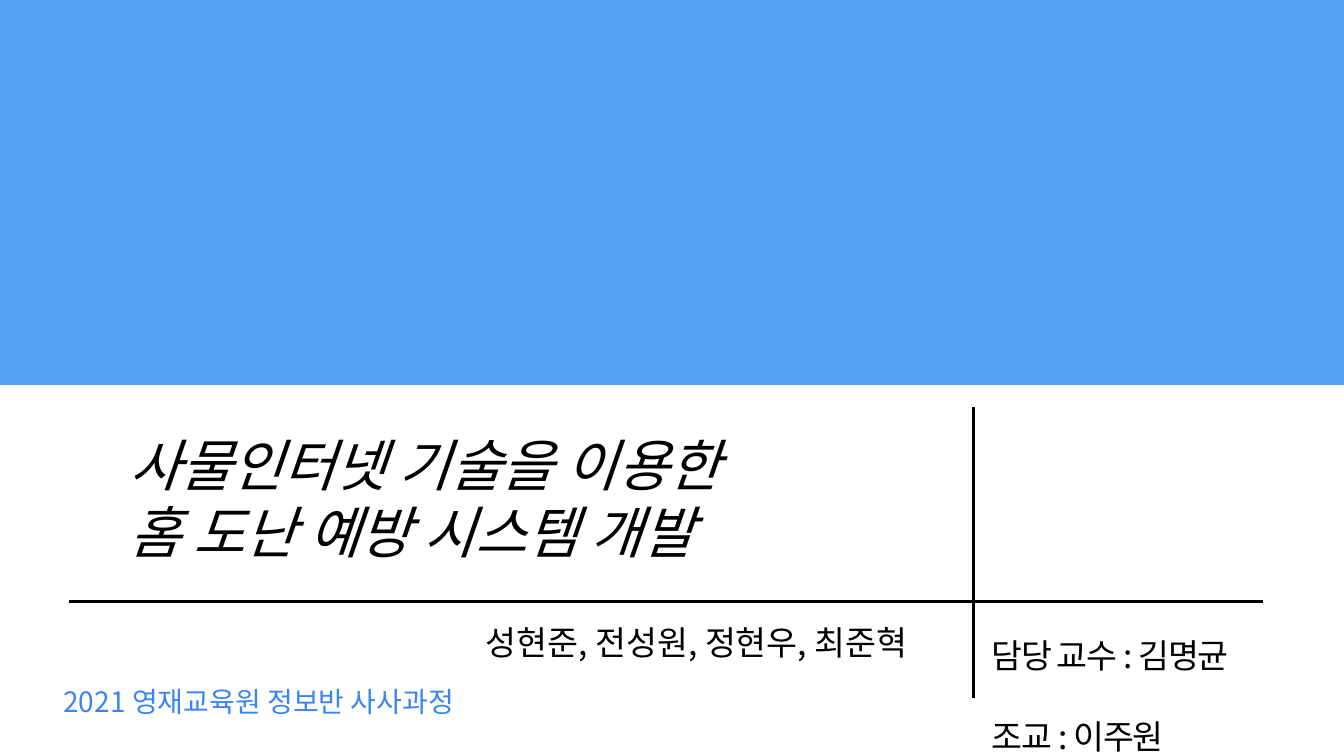
"""Build the title slide of a home burglary prevention project."""
from dataclasses import dataclass

from lxml.etree import SubElement
from pptx import Presentation
from pptx.dml.color import RGBColor
from pptx.enum.shapes import MSO_CONNECTOR as Connector, MSO_SHAPE as Preset
from pptx.enum.text import MSO_ANCHOR as Anchor, MSO_AUTO_SIZE as AutoSize, PP_ALIGN as Align
from pptx.oxml.ns import qn
from pptx.util import Cm, Pt

FONT = "Noto Sans CJK KR"
COLORS = {"sky": "54A0F4", "paper": "FFFFFF", "ink": "000000", "course": "3B85F2"}
WIDTH, HEIGHT, PANEL_TOP = 33.87, 19.05, 9.73


@dataclass(frozen=True)
class TextBlock:
    """Lines of text in one frame, with lengths in centimetres."""

    left: float
    top: float
    width: float
    height: float
    lines: tuple[str, ...]
    size: int
    color: str = "ink"
    align: Align = Align.JUSTIFY
    spacing: float = 1.0
    indent: float = 0
    italic: bool = False
    tracking: int = 0


@dataclass(frozen=True)
class Rule:
    """A straight line, with its ends in centimetres."""

    x1: float
    y1: float
    x2: float
    y2: float


TITLE = TextBlock(0, 10.72, 25.3, 3.68, ("사물인터넷 기술을 이용한", "홈 도난 예방 시스템 개발"),
                  40, align=Align.LEFT, indent=3, italic=True)
STUDENTS = TextBlock(11.99, 15.54, 20.52, 1.98, ("성현준, 전성원, 정현우, 최준혁",), 24)
STAFF = TextBlock(24.74, 14.86, 8.59, 4.19, ("담당 교수 : 김명균", "조교 : 이주원"),
                  24, spacing=2.0, tracking=-100)
COURSE = TextBlock(1.35, 17.12, 22.61, 1.98, ("2021 영재교육원 정보반 사사과정",), 20, "course")
RULES = (Rule(24.54, 10.26, 24.54, 17.6), Rule(1.75, 15.16, 31.83, 15.16))


def rgb(name: str) -> RGBColor:
    """Look up a named colour."""
    return RGBColor.from_string(COLORS[name])


def write_block(shape, block: TextBlock) -> None:
    """Place a text shape and fill it with formatted paragraphs."""
    shape.left, shape.top = Cm(block.left), Cm(block.top)
    shape.width, shape.height = Cm(block.width), Cm(block.height)
    frame = shape.text_frame
    frame.word_wrap, frame.auto_size = True, AutoSize.NONE
    frame.vertical_anchor = Anchor.TOP
    frame.text = "\n".join(block.lines)
    for paragraph in frame.paragraphs:
        paragraph.alignment, paragraph.line_spacing = block.align, block.spacing
        paragraph.space_before = paragraph.space_after = Pt(0)
        font = paragraph.font
        font.name, font.size, font.italic = FONT, Pt(block.size), block.italic
        font.color.rgb = rgb(block.color)
        properties = paragraph._p.get_or_add_pPr()
        properties.set("marL", str(Cm(block.indent)))
        properties.set("indent", "0")
        defaults = properties.find(qn("a:defRPr"))
        defaults.set("spc", str(block.tracking))
        SubElement(defaults, qn("a:ea")).set("typeface", FONT)


def add_panel(slide) -> None:
    """Add the white lower panel."""
    panel = slide.shapes.add_shape(Preset.RECTANGLE, 0, Cm(PANEL_TOP),
                                   Cm(WIDTH), Cm(HEIGHT - PANEL_TOP))
    panel.shadow.inherit = False
    panel.fill.solid()
    panel.fill.fore_color.rgb = panel.line.color.rgb = rgb("paper")
    panel.line.width = Pt(1)
    panel.element.getparent().insert(2, panel.element)


def add_rule(slide, rule: Rule) -> None:
    """Draw a black dividing line."""
    line = slide.shapes.add_connector(Connector.STRAIGHT, Cm(rule.x1), Cm(rule.y1),
                                      Cm(rule.x2), Cm(rule.y2))
    line.line.color.rgb, line.line.width = rgb("ink"), Pt(2.25)
    SubElement(line.element.spPr, qn("a:effectLst"))


def main() -> None:
    """Create and save the presentation."""
    presentation = Presentation()
    presentation.slide_width, presentation.slide_height = Cm(WIDTH), Cm(HEIGHT)
    slide = presentation.slides.add_slide(presentation.slide_layouts[0])
    slide.background.fill.solid()
    slide.background.fill.fore_color.rgb = rgb("sky")
    add_panel(slide)
    write_block(slide.shapes.title, TITLE)
    write_block(slide.placeholders[1], STUDENTS)
    for rule in RULES:
        add_rule(slide, rule)
    for block in (STAFF, COURSE):
        write_block(slide.shapes.add_textbox(0, 0, 0, 0), block)
    presentation.save("out.pptx")


if __name__ == "__main__":
    main()
